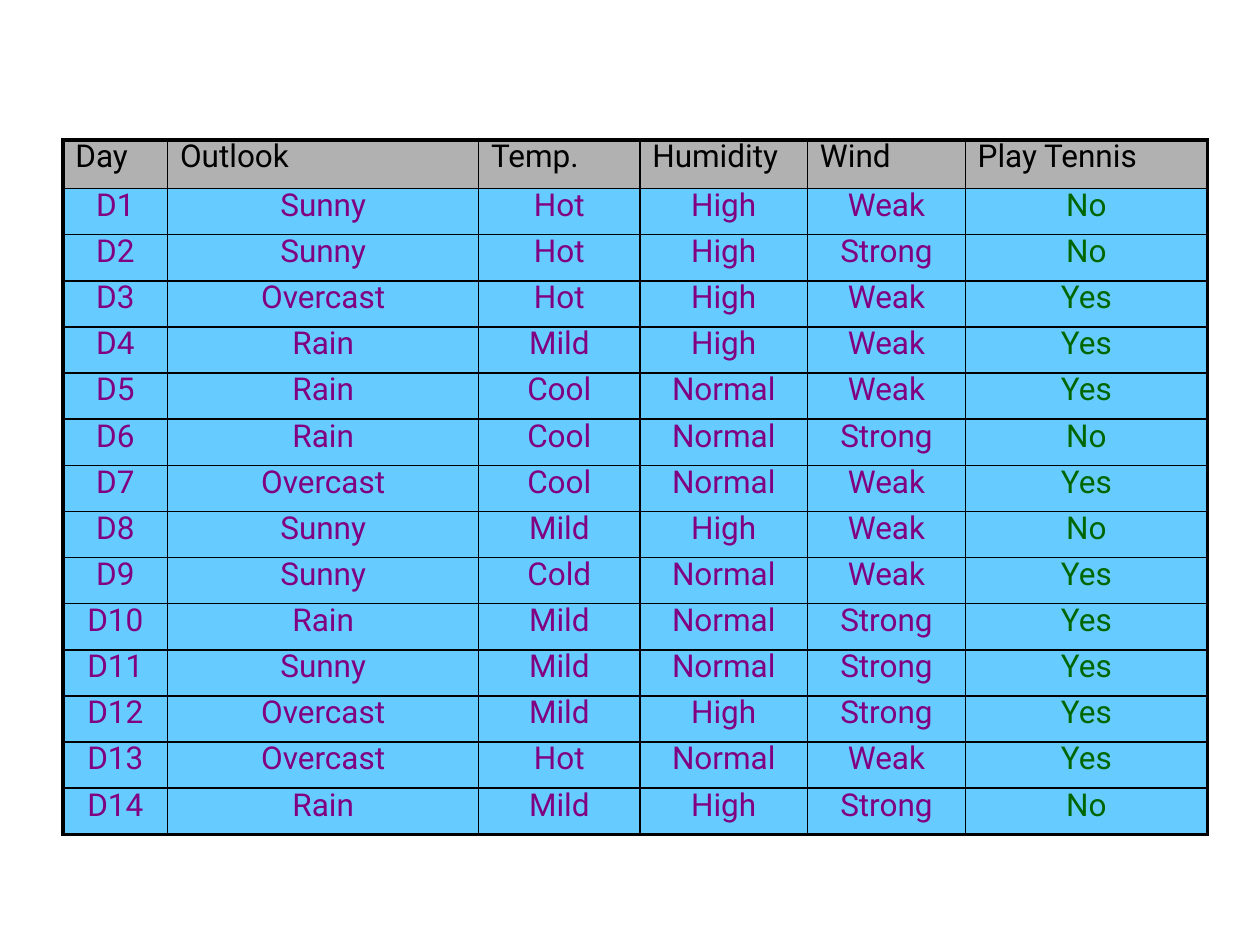
import pptx
import pptx.dml.color
import pptx.enum.text
import pptx.oxml.ns
import pptx.util
from lxml import etree

Cm = pptx.util.Cm
Pt = pptx.util.Pt
Align = pptx.enum.text.PP_ALIGN

HEADINGS = ["Day", "Outlook", "Temp.", "Humidity", "Wind", "Play Tennis"]
DAYS = [
    ["D1", "Sunny", "Hot", "High", "Weak", "No"],
    ["D2", "Sunny", "Hot", "High", "Strong", "No"],
    ["D3", "Overcast", "Hot", "High", "Weak", "Yes"],
    ["D4", "Rain", "Mild", "High", "Weak", "Yes"],
    ["D5", "Rain", "Cool", "Normal", "Weak", "Yes"],
    ["D6", "Rain", "Cool", "Normal", "Strong", "No"],
    ["D7", "Overcast", "Cool", "Normal", "Weak", "Yes"],
    ["D8", "Sunny", "Mild", "High", "Weak", "No"],
    ["D9", "Sunny", "Cold", "Normal", "Weak", "Yes"],
    ["D10", "Rain", "Mild", "Normal", "Strong", "Yes"],
    ["D11", "Sunny", "Mild", "Normal", "Strong", "Yes"],
    ["D12", "Overcast", "Mild", "High", "Strong", "Yes"],
    ["D13", "Overcast", "Hot", "Normal", "Weak", "Yes"],
    ["D14", "Rain", "Mild", "High", "Strong", "No"],
]
COLUMN_WIDTHS = [2.11, 6.27, 3.25, 3.38, 3.18, 4.88]
HEADER_HEIGHT, DAY_HEIGHT = 0.98, 0.93


def color(value):
    return pptx.dml.color.RGBColor.from_string(value)


class TableSlide:
    font_name = "Roboto"
    font_size = Pt(18)
    line_spacing = Pt(20.4)
    border_color = "000000"
    inner_border, outer_border = Pt(1), Pt(2.25)
    header_fill, header_text = "B1B1B1", "000000"
    day_fill, day_text, answer_text = "66CCFF", "800080", "006600"

    def __init__(self, presentation):
        self.slide = presentation.slides.add_slide(presentation.slide_layouts[6])

    def add_table(self, left, top, widths, heights, rows):
        shape = self.slide.shapes.add_table(
            len(rows), len(widths), Cm(left), Cm(top), Cm(sum(widths)), Cm(sum(heights)))
        table = shape.table
        table.first_row = table.horz_banding = False
        for column, width in zip(table.columns, widths):
            column.width = Cm(width)
        for row, height in zip(table.rows, heights):
            row.height = Cm(height)

        last_row, last_column = len(rows) - 1, len(widths) - 1
        for r, texts in enumerate(rows):
            for c, text in enumerate(texts):
                cell = table.cell(r, c)
                # Heavy lines run only around the outside
                self.set_borders(cell, {"L": c == 0, "R": c == last_column,
                                        "T": r == 0, "B": r == last_row})
                if r == 0:
                    self.fill_cell(cell, text, self.header_fill, self.header_text, Align.LEFT, 0.25)
                else:
                    text_color = self.answer_text if c == last_column else self.day_text
                    self.fill_cell(cell, text, self.day_fill, text_color, Align.CENTER, 0)

    def set_borders(self, cell, outer_sides):
        properties = cell._tc.get_or_add_tcPr()
        qn = pptx.oxml.ns.qn
        for side, is_outer in outer_sides.items():
            width = self.outer_border if is_outer else self.inner_border
            line = etree.SubElement(properties, qn("a:ln" + side), w=str(int(width)))
            fill = etree.SubElement(line, qn("a:solidFill"))
            etree.SubElement(fill, qn("a:srgbClr"), val=self.border_color)

    def fill_cell(self, cell, text, fill, text_color, alignment, margin_left):
        cell.fill.solid()
        cell.fill.fore_color.rgb = color(fill)
        cell.margin_left = Cm(margin_left)
        cell.margin_right = cell.margin_top = cell.margin_bottom = 0
        cell.text = text
        paragraph = cell.text_frame.paragraphs[0]
        paragraph.alignment = alignment
        paragraph.line_spacing = self.line_spacing
        paragraph.font.name = self.font_name
        paragraph.font.size = self.font_size
        paragraph.font.color.rgb = color(text_color)


def main():
    presentation = pptx.Presentation()
    presentation.slide_width, presentation.slide_height = Cm(25.4), Cm(19.05)

    # Weather observations and the decision for each day
    heights = [HEADER_HEIGHT] + [DAY_HEIGHT] * len(DAYS)
    TableSlide(presentation).add_table(1.27, 2.82, COLUMN_WIDTHS, heights, [HEADINGS] + DAYS)

    presentation.save("out.pptx")


if __name__ == "__main__":
    main()
